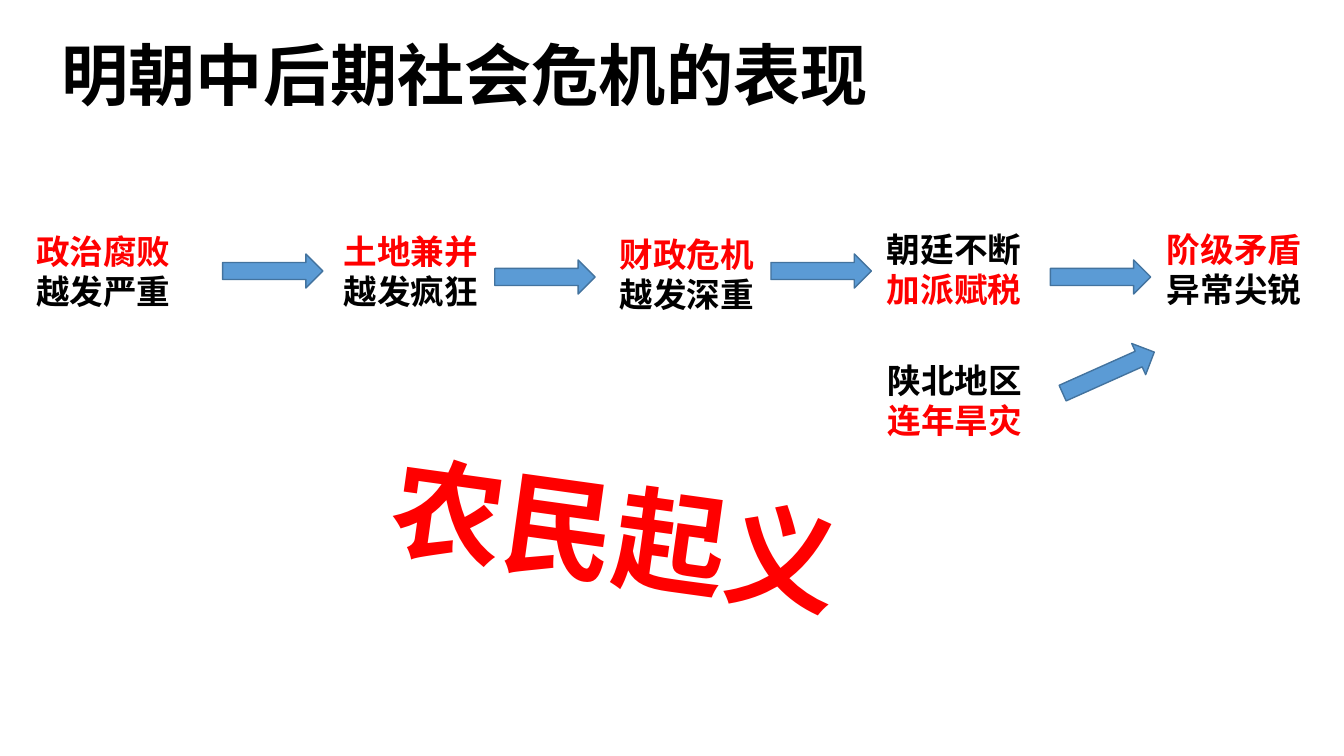
from lxml import etree
from pptx import Presentation
from pptx.dml.color import RGBColor
from pptx.enum import shapes, text
from pptx.oxml import ns
from pptx.util import Cm, Pt

RED = RGBColor(0xFF, 0x00, 0x00)
BLACK = RGBColor(0x00, 0x00, 0x00)
BLUE = RGBColor(0x5B, 0x9B, 0xD5)
DARK_BLUE = RGBColor(0x43, 0x73, 0x9E)
ORANGE = RGBColor(0xED, 0x7D, 0x31)
CJK_FONT = "Noto Sans CJK SC"

STAGES = [
    (0.66, 5.69, ("政治腐败", RED), ("越发严重", BLACK)),
    (8.41, 5.69, ("土地兼并", RED), ("越发疯狂", BLACK)),
    (15.37, 5.77, ("财政危机", RED), ("越发深重", BLACK)),
    (22.1, 5.64, ("朝廷不断", BLACK), ("加派赋税", RED)),
    (29.16, 5.64, ("阶级矛盾", RED), ("异常尖锐", BLACK)),
    (22.12, 8.94, ("陕北地区", BLACK), ("连年旱灾", RED)),
]
ARROWS = [
    (5.61, 6.4, 0),
    (12.47, 6.55, 0),
    (19.43, 6.4, 0),
    (26.47, 6.55, 0),
    (26.67, 8.96, -24.1),
]


def add_text(slide, left, top, width, height, lines, size, font=CJK_FONT):
    box = slide.shapes.add_textbox(Cm(left), Cm(top), Cm(width), Cm(height))
    frame = box.text_frame
    frame.word_wrap = True
    frame.text = "\n".join(wording for wording, _ in lines)
    for paragraph, (_, color) in zip(frame.paragraphs, lines):
        run = paragraph.runs[0]
        run.font.size = Pt(size)
        run.font.bold = True
        run.font.color.rgb = color
        run.font.name = font
        east_asian = etree.SubElement(run.font._element, ns.qn("a:ea"))
        east_asian.set("typeface", CJK_FONT)
    return box


def add_arrow(slide, left, top, rotation):
    arrow = slide.shapes.add_shape(
        shapes.MSO_SHAPE.RIGHT_ARROW, Cm(left), Cm(top), Cm(2.53), Cm(0.86))
    arrow.rotation = rotation
    arrow.shadow.inherit = False
    arrow.fill.solid()
    arrow.fill.fore_color.rgb = BLUE
    arrow.line.color.rgb = DARK_BLUE
    arrow.line.width = Pt(1)


def add_uprising(slide):
    uprising = add_text(slide, 9.53, 11.61, 11.96, 3.68, [("农民起义", RED)], 80, "Calibri")
    uprising.rotation = 8
    uprising.text_frame.word_wrap = False
    paragraph = uprising.text_frame.paragraphs[0]
    paragraph.alignment = text.PP_ALIGN.CENTER
    outline = etree.Element(ns.qn("a:ln"), w=str(Pt(1.75)))
    fill = etree.SubElement(outline, ns.qn("a:solidFill"))
    etree.SubElement(fill, ns.qn("a:srgbClr"), val=str(ORANGE))
    paragraph.runs[0].font._element.insert(0, outline)


def main():
    deck = Presentation()
    deck.slide_width, deck.slide_height = Cm(33.87), Cm(19.05)
    slide = deck.slides.add_slide(deck.slide_layouts[6])
    add_text(slide, 1.3, 0.71, 21.16, 2.29, [("明朝中后期社会危机的表现", BLACK)], 48, "Arial")
    for left, top, *lines in STAGES:
        add_text(slide, left, top, 4.34, 2.29, lines, 24)
    for left, top, rotation in ARROWS:
        add_arrow(slide, left, top, rotation)
    add_uprising(slide)
    deck.save("out.pptx")


if __name__ == "__main__":
    main()
